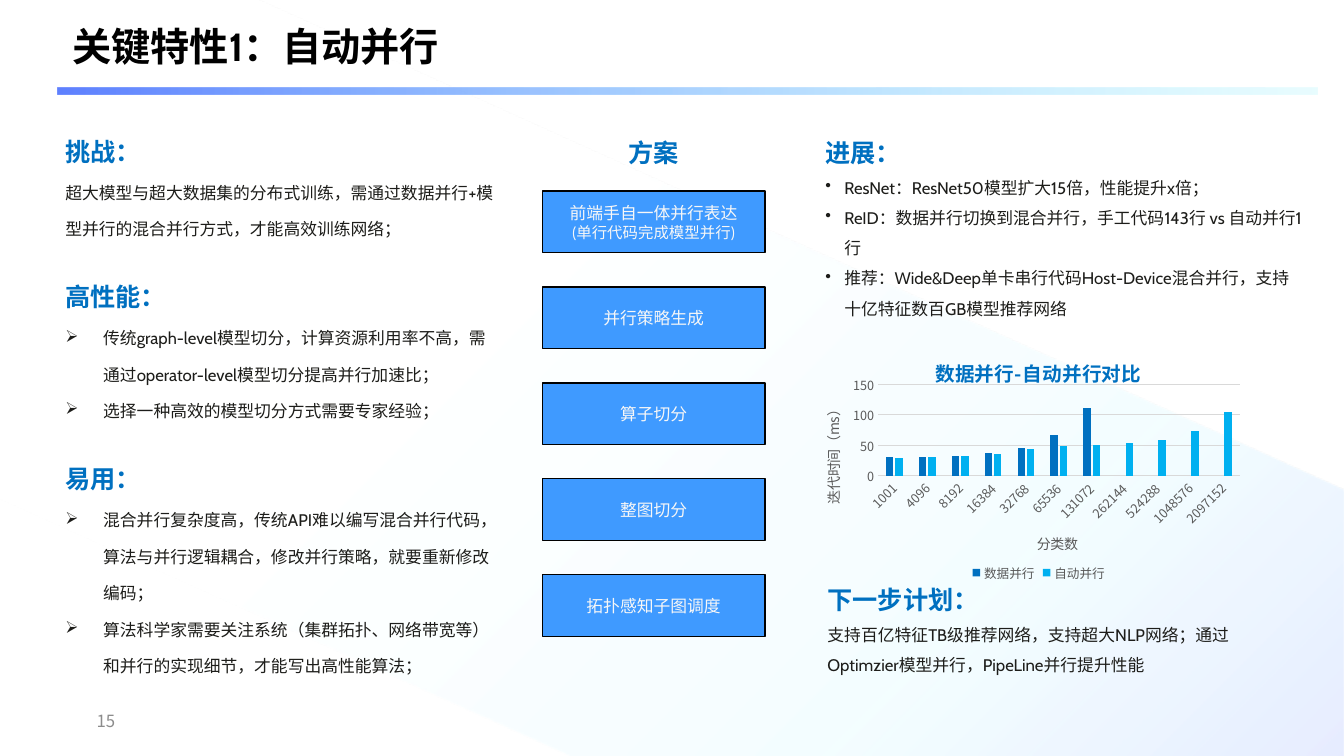
"""Build the slide on automatic parallelism: challenges, solution steps, progress and next plan."""
from lxml import etree
from pptx import Presentation
from pptx.chart.data import CategoryChartData
from pptx.dml.color import RGBColor
from pptx.enum.chart import XL_CHART_TYPE, XL_LEGEND_POSITION, XL_TICK_MARK
from pptx.enum.shapes import MSO_SHAPE
from pptx.enum.text import MSO_ANCHOR, PP_ALIGN
from pptx.oxml.ns import qn
from pptx.util import Pt

THEME = {
    "latin": "Cabin", "cjk": "Noto Sans CJK SC",
    "title": (28, "000000", True), "heading": (18, "0070C0", True),
    "body": (12, "1D1D1A", False), "step": (12, "F7F7F7", False),
    "step_note": (11, "F7F7F7", False), "page": (12, "8C8C8C", False),
    "chart_title": (14, "0070C0", True), "axis_title": (10, "595959", False),
    "tick": (9, "595959", False),
    "step_fill": "3F9AFF", "step_line": "000000", "grid": "D9D9D9",
    "series": ("0070C0", "00B0F0"),
    "band": ((0, "8FF4FF", 20), (50, "75B7FF", 60), (100, "5F81FF", 100)),
    "wash": ((39, "FFFFFF", 10), (75, "8FF4FF", 10), (100, "5F81FF", 15)),
}
BULLETS = {"arrow": ("➢", 27), "dot": ("•", 13.5)}

WASH_OUTLINE = [(0, 0), (183, 0), (960, 350), (960, 540), (408, 540), (0, 356)]
TITLE = [("title", "关键特性1：自动并行")]
PAGE = [("page", "15")]
SOLUTION = [("heading", "方案")]
CHALLENGES = [
    ("heading", "挑战："),
    ("body", "超大模型与超大数据集的分布式训练，需通过数据并行+模型并行的混合并行方式，才能高效训练网络；"),
    ("heading", "高性能："),
    ("arrow", "传统graph-level模型切分，计算资源利用率不高，需通过operator-level模型切分提高并行加速比；"),
    ("arrow", "选择一种高效的模型切分方式需要专家经验；"),
    ("heading", "易用："),
    ("arrow", "混合并行复杂度高，传统API难以编写混合并行代码，算法与并行逻辑耦合，修改并行策略，就要重新修改编码；"),
    ("arrow", "算法科学家需要关注系统（集群拓扑、网络带宽等）和并行的实现细节，才能写出高性能算法；"),
]
PROGRESS = [
    ("heading", "进展："),
    ("dot", "ResNet：ResNet50模型扩大15倍，性能提升x倍；"),
    ("dot", "ReID：数据并行切换到混合并行，手工代码143行 vs 自动并行1行"),
    ("dot", "推荐：Wide&Deep单卡串行代码Host-Device混合并行，支持十亿特征数百GB模型推荐网络"),
]
NEXT_PLAN = [
    ("heading", "下一步计划："),
    ("body", "支持百亿特征TB级推荐网络，支持超大NLP网络；通过Optimzier模型并行，PipeLine并行提升性能"),
]
STEPS = [
    [("step", "前端手自一体并行表达"), ("step_note", "(单行代码完成模型并行)")],
    [("step", "并行策略生成")],
    [("step", "算子切分")],
    [("step", "整图切分")],
    [("step", "拓扑感知子图调度")],
]
COMPARISON = {
    "title": "数据并行-自动并行对比", "x": "分类数", "y": "迭代时间（ms）",
    "classes": ["1001", "4096", "8192", "16384", "32768", "65536", "131072",
                "262144", "524288", "1048576", "2097152"],
    "times": {
        "数据并行": (31, 31, 33, 37, 45, 67, 111, None, None, None, None),
        "自动并行": (29, 30, 32, 36, 44, 49, 50, 53, 58, 74, 105),
    },
}


def color(name):
    return RGBColor.from_string(name)


def style(font, role, latin=THEME["latin"]):
    size, ink, bold = THEME[role]
    font.size, font.bold, font.name = Pt(size), bold, latin
    font.color.rgb = color(ink)
    latin_tag = font._element.find(qn("a:latin"))
    east_asian = etree.Element(qn("a:ea"), typeface=THEME["cjk"])
    latin_tag.addnext(east_asian)


def write(frame, lines, spacing=None, gap=0, align=None, latin=THEME["latin"]):
    frame.text = "\n".join(text for _, text in lines)
    for index, (paragraph, (role, _)) in enumerate(zip(frame.paragraphs, lines)):
        if spacing:
            paragraph.line_spacing = spacing
        if align is not None:
            paragraph.alignment = align
        if gap and index and role == "heading":
            paragraph.space_before = Pt(gap)
        if role in BULLETS:
            mark, indent = BULLETS[role]
            properties = paragraph._p.get_or_add_pPr()
            properties.set("marL", str(Pt(indent)))
            properties.set("indent", str(-Pt(indent)))
            etree.SubElement(properties, qn("a:buChar"), char=mark)
        for run in paragraph.runs:
            style(run.font, "body" if role in BULLETS else role, latin)


def add_text(slide, box, lines, wrap=True, anchor=MSO_ANCHOR.TOP, **options):
    frame = slide.shapes.add_textbox(*map(Pt, box)).text_frame
    frame.word_wrap, frame.vertical_anchor = wrap, anchor
    write(frame, lines, **options)


def shade(shape, stops, degrees):
    shape.shadow.inherit = False
    shape.line.fill.background()
    shape.fill.gradient()
    gradient = shape.fill._xPr.find(qn("a:gradFill"))
    for child in list(gradient):
        gradient.remove(child)
    stop_list = etree.SubElement(gradient, qn("a:gsLst"))
    for position, ink, opacity in stops:
        stop = etree.SubElement(stop_list, qn("a:gs"), pos=str(position * 1000))
        tint = etree.SubElement(stop, qn("a:srgbClr"), val=ink)
        etree.SubElement(tint, qn("a:alpha"), val=str(opacity * 1000))
    etree.SubElement(gradient, qn("a:lin"), ang=str(degrees * 60000), scaled="0")


def place(element, after=None, **fractions):
    for old in element.findall(qn("c:layout")):
        element.remove(old)
    layout = etree.Element(qn("c:layout"))
    manual = etree.SubElement(layout, qn("c:manualLayout"))
    if "w" in fractions:
        etree.SubElement(manual, qn("c:layoutTarget"), val="inner")
    for mode in ("xMode", "yMode"):
        etree.SubElement(manual, qn(f"c:{mode}"), val="edge")
    for key, value in fractions.items():
        etree.SubElement(manual, qn(f"c:{key}"), val=str(value))
    if after:
        element.find(qn(after)).addnext(layout)
    else:
        element.insert(0, layout)


def add_comparison(slide, box):
    data = CategoryChartData()
    data.categories = COMPARISON["classes"]
    for name, times in COMPARISON["times"].items():
        data.add_series(name, times)
    chart = slide.shapes.add_chart(XL_CHART_TYPE.COLUMN_CLUSTERED, *map(Pt, box), data).chart
    style(chart.font, "tick", THEME["cjk"])
    plot = chart.plots[0]
    plot.gap_width, plot.overlap, plot.vary_by_categories = 219, -27, False
    for series, ink in zip(plot.series, THEME["series"]):
        series.format.fill.solid()
        series.format.fill.fore_color.rgb = color(ink)
    classes, times = chart.category_axis, chart.value_axis
    titles = [(chart.chart_title, "title", "chart_title", 0.26, 0.13),
              (classes.axis_title, "x", "axis_title", 0.49, 0.79),
              (times.axis_title, "y", "axis_title", 0.01, 0.31)]
    for title, key, role, x, y in titles:
        write(title.text_frame, [(role, COMPARISON[key])], latin=THEME["cjk"])
        place(title._element, "c:tx", x=x, y=y)
    for axis in (classes, times):
        axis.major_tick_mark = axis.minor_tick_mark = XL_TICK_MARK.NONE
        style(axis.tick_labels.font, "tick", THEME["cjk"])
    classes._element.find(qn("c:txPr")).find(qn("a:bodyPr")).set("rot", "-2700000")
    times.axis_title.text_frame._txBody.find(qn("a:bodyPr")).set("rot", "-5400000")
    times.minimum_scale, times.maximum_scale, times.major_unit = 0, 150, 50
    times.format.line.fill.background()
    for rule in (classes.format.line, times.major_gridlines.format.line):
        rule.color.rgb, rule.width = color(THEME["grid"]), Pt(0.75)
    chart.has_legend = True
    chart.legend.position = XL_LEGEND_POSITION.BOTTOM
    chart.legend.include_in_layout = False
    style(chart.legend.font, "tick", THEME["cjk"])
    place(chart._chartSpace.chart.plotArea, x=0.14, y=0.25, w=0.81, h=0.34)


def main():
    deck = Presentation()
    deck.slide_width, deck.slide_height = Pt(960), Pt(540)
    slide = deck.slides.add_slide(deck.slide_layouts[6])
    outline = slide.shapes.build_freeform(*map(Pt, WASH_OUTLINE[0]))
    outline.add_line_segments([(Pt(x), Pt(y)) for x, y in WASH_OUTLINE[1:]])
    shade(outline.convert_to_shape(), THEME["wash"], 45)
    band = slide.shapes.add_shape(MSO_SHAPE.RECTANGLE, Pt(41), Pt(62.5), Pt(900), Pt(5))
    shade(band, THEME["band"], 180)
    add_text(slide, (44.6, 12.2, 808, 41), TITLE)
    add_text(slide, (39.6, 89.3, 320, 402), CHALLENGES, spacing=Pt(26), gap=26)
    for index, lines in enumerate(STEPS):
        step = slide.shapes.add_shape(
            MSO_SHAPE.RECTANGLE, Pt(387.4), Pt(136.5 + 68.5 * index), Pt(159), Pt(44))
        step.shadow.inherit = False
        step.fill.solid()
        step.fill.fore_color.rgb = color(THEME["step_fill"])
        step.line.color.rgb, step.line.width = color(THEME["step_line"]), Pt(1)
        step.text_frame.vertical_anchor = MSO_ANCHOR.MIDDLE
        write(step.text_frame, lines, align=PP_ALIGN.CENTER)
    add_text(slide, (582.5, 83.5, 355.7, 149), PROGRESS, spacing=1.5)
    add_comparison(slide, (582.5, 226.8, 319, 191.5))
    add_text(slide, (584, 403.2, 345.6, 83.5), NEXT_PLAN, spacing=1.5)
    add_text(slide, (442, 82, 51, 42), SOLUTION, wrap=False, spacing=Pt(34.4))
    add_text(slide, (62, 500.4, 216, 28.8), PAGE, anchor=MSO_ANCHOR.MIDDLE, latin=THEME["cjk"])
    deck.save("out.pptx")


if __name__ == "__main__":
    main()
